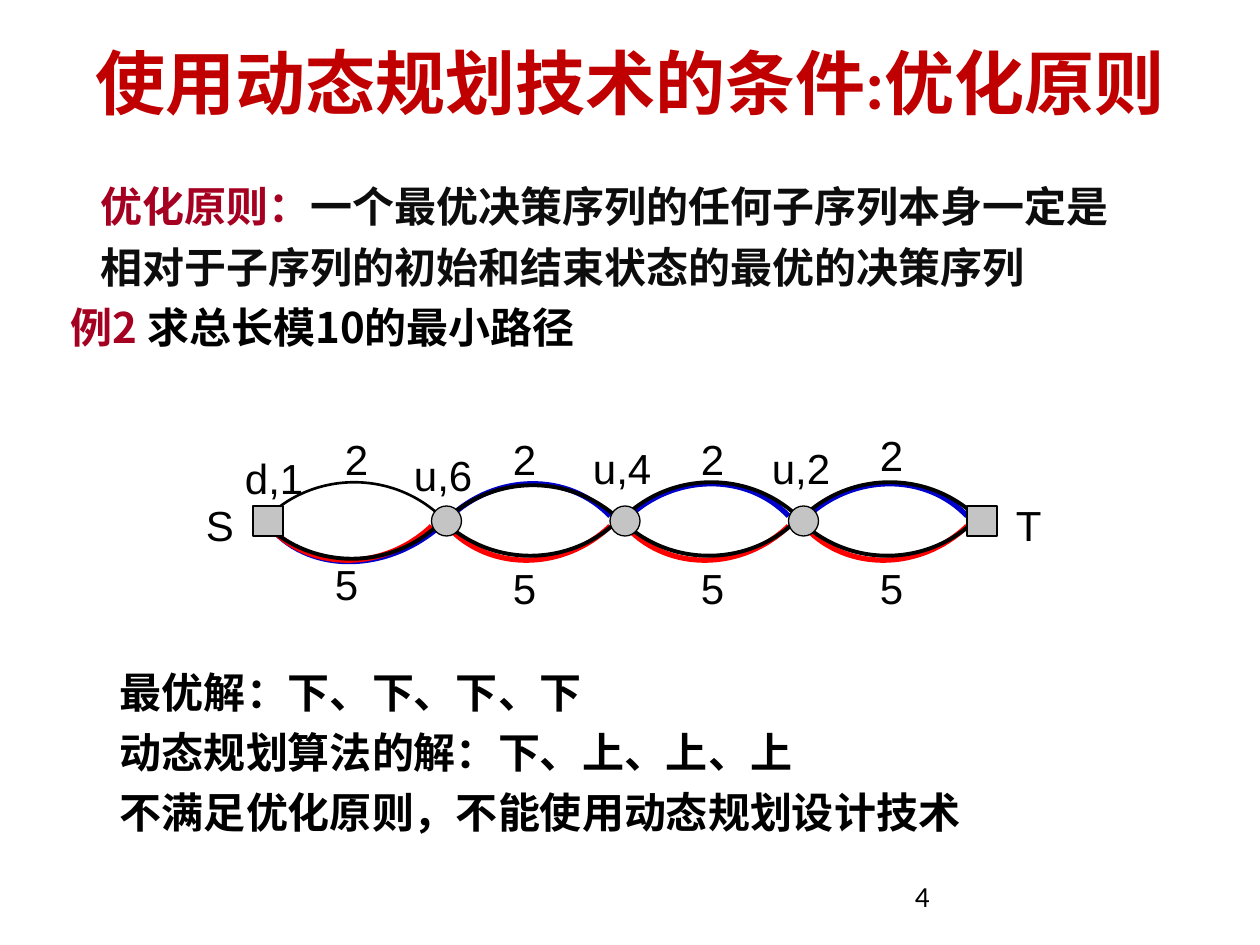
"""Build a slide on the optimality principle, with a four-stage path example."""
from lxml.etree import SubElement
from pptx import Presentation
from pptx.dml.color import RGBColor
from pptx.enum.shapes import MSO_SHAPE as Kind
from pptx.enum.text import MSO_ANCHOR as Anchor, PP_ALIGN as Align
from pptx.oxml.ns import qn
from pptx.util import Emu, Pt

PX = 914400 // 126
BLACK = RGBColor(0, 0, 0)
INK = RGBColor(0x0D, 0x0D, 0x0D)
RED = RGBColor(0xFF, 0, 0)
BLUE = RGBColor(0, 0, 0xCC)
GRAY = RGBColor(0xC4, 0xC4, 0xC4)
WINE = RGBColor(0xA5, 0, 0x21)
TITLE = RGBColor(0xC0, 0, 0)
NOTO = "Noto Sans CJK SC"

HEAD = [[("使用动态规划技术的条件:优化原则", TITLE)]]
RULE = [[("优化原则：", WINE),
         ("一个最优决策序列的任何子序列本身一定是相对于子序列的初始和结束状态的最优的决策序列", INK)]]
TASK = [[("例2 ", WINE), ("求总长模10的最小路径", BLACK)]]
NOTES = [[(text, BLACK)] for text in (
    "最优解：下、下、下、下",
    "动态规划算法的解：下、上、上、上",
    "不满足优化原则，不能使用动态规划设计技术",
)]

FIRST, LAST, STAGES = 253, 967, 4
STEP = (LAST - FIRST) / STAGES
NODE, NODE_Y, ARC_X = 30, 506, 292
BEND = 0.55

# stages, top, width, height, turn, color, weight
ARCS = [
    ((0,), 472, 129, 110, 138.2, BLUE, 3),
    ((3, 2, 1, 0), 472, 118, 110, 136.4, RED, 3),
    ((1, 2, 3), 462, 118, 110, 316.4, BLUE, 3),
    ((0,), 459, 126, 126, 133, BLACK, 2.25),
    ((0,), 456, 126, 126, 315.4, BLACK, 1.5),
    ((1,), 459, 126, 126, 315.4, BLACK, 2.25),
    ((2, 3), 456, 126, 126, 315.4, BLACK, 2.25),
    ((1, 2, 3), 456, 126, 126, 133, BLACK, 2.25),
]

LABELS = [
    ("2", 333, 427, 48), ("2", 501, 427, 48), ("2", 689, 427, 48), ("2", 868, 423, 48),
    ("5", 323, 552, 48), ("5", 501, 556, 48), ("5", 689, 556, 48), ("5", 868, 556, 48),
    ("d,1", 233, 446, 86), ("u,6", 402, 443, 86), ("u,4", 581, 436, 86), ("u,2", 760, 436, 86),
    ("S", 194, 493, 53), ("T", 1004, 493, 50),
]


def px(num):
    return Emu(round(num * PX))


def write(slide, area, lines, size=24, font=NOTO, bold=True, lead=None,
          anchor=Anchor.TOP, align=Align.LEFT, wrap=True, pad=12):
    frame = slide.shapes.add_textbox(*map(px, area)).text_frame
    frame.word_wrap = wrap
    frame.vertical_anchor = anchor
    frame.margin_left = frame.margin_right = px(pad)
    for i, line in enumerate(lines):
        para = frame.paragraphs[0] if i == 0 else frame.add_paragraph()
        para.alignment = align
        para.line_spacing = lead
        para.font.size, para.font.name, para.font.bold = Pt(size), font, bold
        for text, color in line:
            run = para.add_run()
            run.text = text
            run.font.size, run.font.name, run.font.bold = Pt(size), font, bold
            run.font.color.rgb = color
            SubElement(run.font._element, qn("a:ea"), typeface=NOTO)


def arc(slide, left, top, wide, high, turn, color, weight):
    ends = [(0, 0), (BEND, 0), (1, 1 - BEND), (1, 1)]
    dots = [(px(left + wide * x), px(top + high * y)) for x, y in ends]
    pen = slide.shapes.build_freeform(*dots[0])
    pen.add_line_segments(dots[1:], close=False)
    curve = pen.convert_to_shape()
    route = next(curve._element.iter(qn("a:path")))
    bend = SubElement(route, qn("a:cubicBezTo"))
    for leg in route.findall(qn("a:lnTo")):
        bend.append(leg[0])
        route.remove(leg)
    curve.shadow.inherit = False
    curve.fill.background()
    curve.line.color.rgb = color
    curve.line.width = Pt(weight)
    curve.rotation = turn


def node(slide, stage):
    kind = Kind.RECTANGLE if stage in (0, STAGES) else Kind.OVAL
    area = (FIRST + stage * STEP, NODE_Y, NODE, NODE)
    shape = slide.shapes.add_shape(kind, *map(px, area))
    shape.shadow.inherit = False
    shape.fill.solid()
    shape.fill.fore_color.rgb = GRAY
    shape.line.color.rgb = BLACK
    shape.line.width = Pt(0.75)


def main():
    deck = Presentation()
    deck.slide_width, deck.slide_height = px(1260), px(945)
    slide = deck.slides.add_slide(deck.slide_layouts[6])
    write(slide, (63, 38, 1134, 87), HEAD, 40, "Calibri",
          anchor=Anchor.MIDDLE, align=Align.CENTER, pad=0)
    write(slide, (89, 164, 1062, 134), RULE, lead=Pt(34.5), anchor=Anchor.MIDDLE)
    write(slide, (59, 295, 568, 113), TASK, lead=Pt(29))
    write(slide, (108, 650, 1032, 194), NOTES, font="Arial", lead=Pt(34.5))
    for stages, top, wide, high, turn, color, weight in ARCS:
        for stage in stages:
            arc(slide, ARC_X + stage * STEP, top, wide, high, turn, color, weight)
    for stage in range(STAGES + 1):
        node(slide, stage)
    for text, left, top, wide in LABELS:
        write(slide, (left, top, wide, 63), [[(text, BLACK)]],
              font="Arial", bold=False, wrap=False)
    write(slide, (903, 876, 294, 50), [[("4", BLACK)]], 16.6, "Calibri",
          bold=False, lead=0.9)
    deck.save("out.pptx")


if __name__ == "__main__":
    main()
